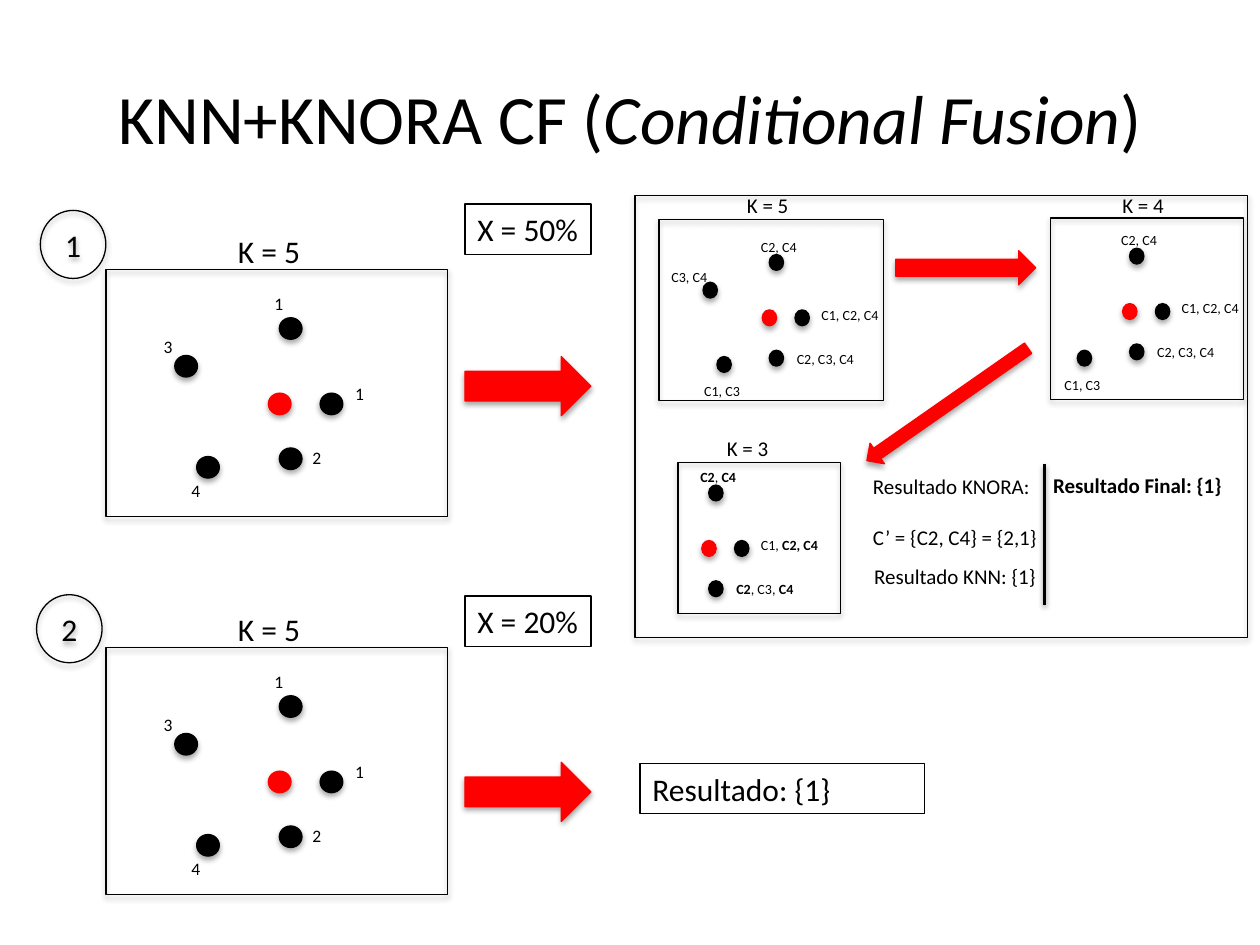
from dataclasses import dataclass

from pptx import Presentation
from pptx.dml.color import RGBColor as RGB
from pptx.enum.shapes import MSO_CONNECTOR as LINE, MSO_SHAPE as SHAPE
from pptx.enum.text import MSO_ANCHOR as ANCHOR, PP_ALIGN as ALIGN
from pptx.util import Inches, Pt


@dataclass(frozen=True)
class Theme:
    """Colours, font and type sizes."""
    ink: RGB = RGB(0, 0, 0)
    accent: RGB = RGB(255, 0, 0)
    font: str = "Calibri"
    title: float = 39.6
    body: int = 18
    note: int = 12
    mark: int = 10
    tiny: int = 8
    hairline: float = 0.75
    rule: int = 2


@dataclass(frozen=True)
class Style:
    """Scale, type sizes and label places (left, top, width) of a panel."""
    sx: float
    sy: float
    head: int
    head_h: float
    size: int
    label_h: float
    spots: tuple


T = Theme()
COLS, ROWS = 100, 75
NEIGHBOURS = ((0.55, -4.4), (2.6, 0), (0.55, 3.2), (-3.6, 3.7), (-4.7, -2.2))
DOT = (1.14, 1.26)
LARGE = Style(1.58, 1.36, T.body, 3.5, T.mark, 2.5, (
    (-0.5, -8.4, 3.4), (5.9, -1.3, 8.1), (2.5, 3.8, 3.1),
    (-7.1, 6.4, 2.5), (-9.3, -5, 3)))
SMALL = Style(1, 1, T.note, 3, T.tiny, 2.4, (
    (-1.1, -6.2, 7), (3.7, -0.8, 8), (1.75, 2.7, 8.2),
    (-5.6, 5.3, 7), (-8.2, -3.8, 7.1)))

prs = Presentation()
prs.slide_width, prs.slide_height = Inches(10), Inches(7.5)
s = prs.slides.add_slide(prs.slide_layouts[5])


def place(x, y, w, h):
    """Turn columns and rows into slide lengths."""
    col, row = prs.slide_width / COLS, prs.slide_height / ROWS
    return int(x * col), int(y * row), int(w * col), int(h * row)


def write(tf, text, size, align=ALIGN.LEFT, italic=False, gap=0):
    """Write lines of text, stressing what stands between asterisks."""
    for i, line in enumerate(text.split("\n")):
        p = tf.add_paragraph() if i else tf.paragraphs[0]
        p.alignment = align
        p.font.name, p.font.size, p.font.color.rgb = T.font, Pt(size), T.ink
        p.space_before = Pt(gap if i else 0)
        for j, part in enumerate(line.split("*")):
            if part:
                r = p.add_run()
                r.text = part
                if j % 2:
                    r.font.italic, r.font.bold = italic or None, not italic


def label(box, text, size, framed=False, gap=0):
    """Add a text box, framed if asked."""
    sp = s.shapes.add_textbox(*place(*box))
    sp.text_frame.word_wrap = True
    write(sp.text_frame, text, size, gap=gap)
    if framed:
        sp.line.color.rgb, sp.line.width = T.ink, Pt(T.hairline)


def shape(kind, box, fill=None, rotation=0):
    """Add a preset shape that keeps the soft shadow of the theme."""
    sp = s.shapes.add_shape(kind, *place(*box))
    if fill is None:
        sp.fill.background()
    else:
        sp.fill.solid()
        sp.fill.fore_color.rgb = fill
    sp.line.color.rgb = T.ink if fill is None else fill
    sp.line.width = Pt(T.hairline)
    sp.rotation = rotation
    return sp


def heading(box, text):
    """Place and format the title."""
    sp = s.shapes.title
    sp.left, sp.top, sp.width, sp.height = place(*box)
    sp.text_frame.vertical_anchor = ANCHOR.MIDDLE
    write(sp.text_frame, text, T.title, ALIGN.CENTER, italic=True)


def panel(box, query, head_at, labels, style):
    """Draw a query dot, its K nearest neighbours and their labels."""
    x, y, w, h = box
    qx, qy = x + query[0], y + query[1]
    dot = DOT[0] * style.sx, DOT[1] * style.sy
    shape(SHAPE.RECTANGLE, box)
    shape(SHAPE.OVAL, (qx, qy, *dot), T.accent)
    for (dx, dy), (lx, ly, lw), text in zip(NEIGHBOURS, style.spots, labels):
        shape(SHAPE.OVAL, (qx + dx * style.sx, qy + dy * style.sy, *dot), T.ink)
        label((qx + lx, qy + ly, lw, style.label_h), text, style.size)
    label((x + head_at[0], y + head_at[1], 8, style.head_h),
          f"K = {len(labels)}", style.head)


def case(box, number, badge_at, share, share_at, arrow_at):
    """Draw a numbered case: panel, badge, threshold and arrow."""
    x, y, w, h = box
    panel(box, (12.9, 9.8), (9.5, -3.5), "11243", LARGE)
    badge = shape(SHAPE.OVAL, (x + badge_at[0], y + badge_at[1], 5.2, 5.4))
    badge.text_frame.vertical_anchor = ANCHOR.MIDDLE
    write(badge.text_frame, number, T.body, ALIGN.CENTER)
    right = x + w + 1.4
    label((right, y + share_at, 10, 4), f"X = {share}", T.body, framed=True)
    shape(SHAPE.RIGHT_ARROW, (right, y + arrow_at, 10, 4.7), T.accent)


def fusion(box):
    """Draw the framed steps from K = 5 to K = 3 and their results."""
    x, y, w, h = box
    shape(SHAPE.RECTANGLE, box)
    sets = "C2, C4", "C1, C2, C4", "C2, C3, C4", "C1, C3", "C3, C4"
    kept = "*C2*, *C4*", "C1, *C2, C4*", "*C2*, C3, *C4*"
    panel((x + 1.9, y + 1.9, 17.8, 14.4), (8.2, 7.2), (6, -2.6), sets, SMALL)
    panel((x + 33, y + 1.8, 15.3, 14.4), (5.7, 6.8), (4.7, -2.5), sets[:4], SMALL)
    panel((x + 3.4, y + 21.2, 12.9, 12), (1.9, 6.2), (2.9, -2.6), kept, SMALL)
    shape(SHAPE.RIGHT_ARROW, (x + 20.7, y + 4.4, 11.1, 2.7), T.accent)
    shape(SHAPE.RIGHT_ARROW, (x + 17, y + 15.6, 15.6, 2), T.accent, 145.1)
    label((x + 17.9, y + 21.6, 17.2, 7.1),
          "Resultado KNORA:\nC’ = {C2, C4} = {2,1}", T.note, gap=14.5)
    label((x + 18, y + 28.7, 15.7, 3), "Resultado KNN: {1}", T.note)
    label((x + 32.2, y + 21.5, 15.7, 3), "*Resultado Final: {1}*", T.note)
    left, top, _, height = place(x + 32.5, y + 21.3, 0, 11.2)
    rule = s.shapes.add_connector(LINE.STRAIGHT, left, top, left, top + height)
    rule.line.color.rgb, rule.line.width = T.ink, Pt(T.rule)


heading((5, 3, 90, 12.5), "KNN+KNORA CF (*Conditional Fusion*)")
case((8.4, 21.4, 27.1, 19.6), "1", (-5.2, -4.7), "50%", -5.2, 6.9)
case((8.4, 51.4, 27.1, 19.6), "2", (-5.5, -4.2), "20%", -4.1, 9.1)
fusion((50.4, 15.5, 48.6, 35.1))
label((50.8, 60.6, 22.6, 4), "Resultado: {1}", T.body, framed=True)
prs.save("out.pptx")
